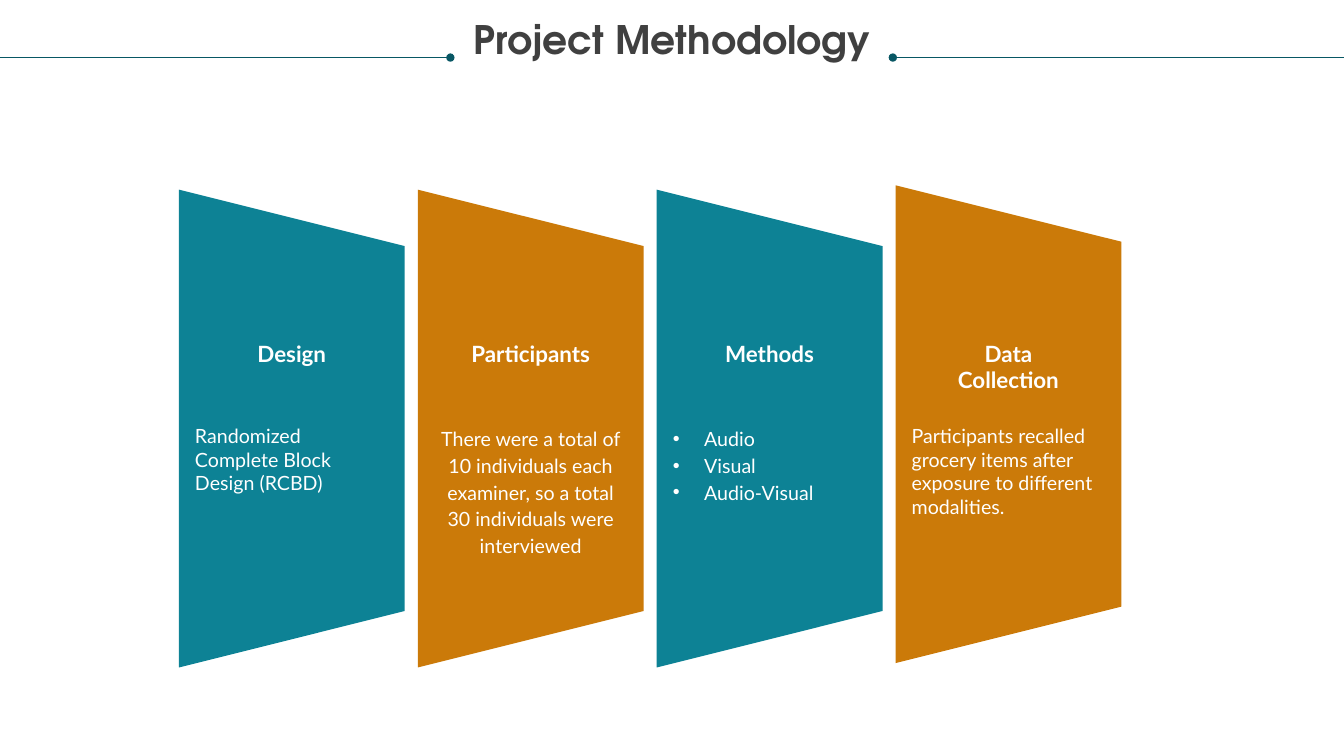
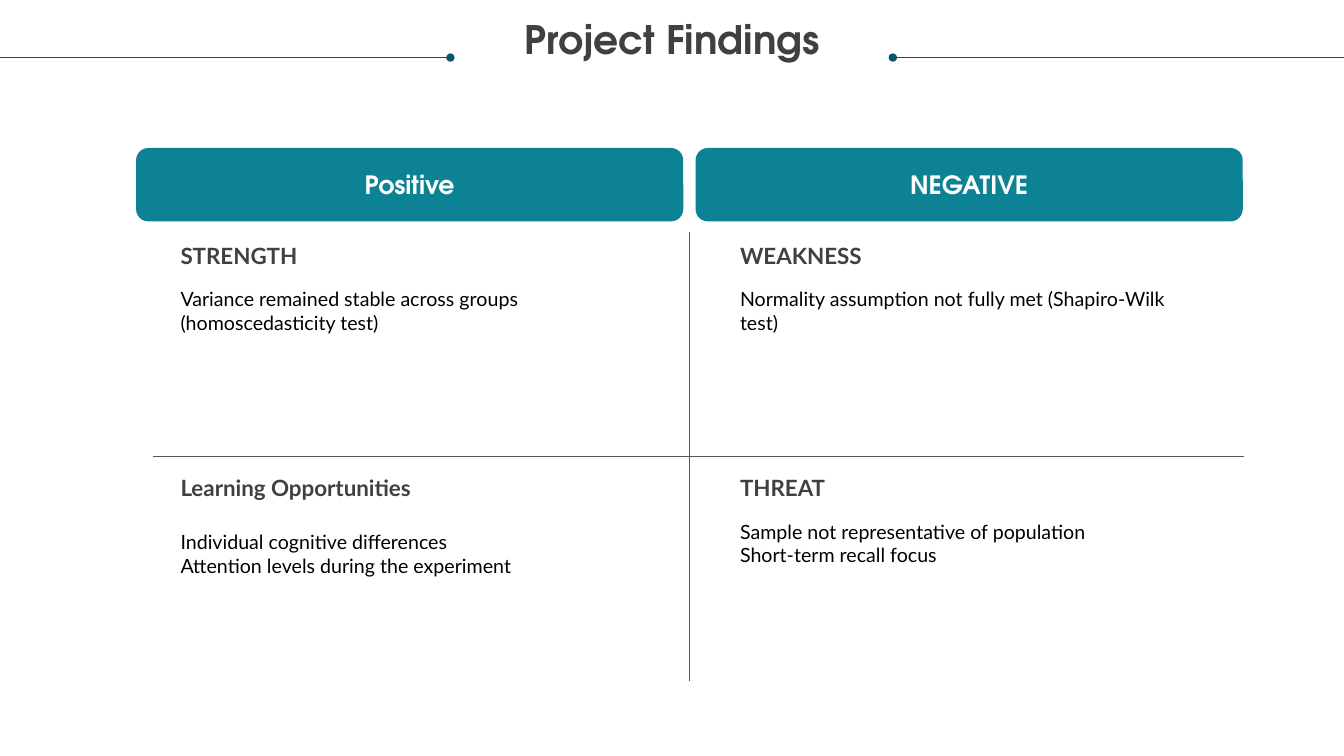
"""Build the project methodology and project findings slides."""
from pptx import Presentation
from pptx.dml.color import RGBColor
from pptx.enum.shapes import MSO_CONNECTOR as Connector, MSO_SHAPE as Shape
from pptx.enum.text import MSO_ANCHOR as Anchor, PP_ALIGN as Align
from pptx.oxml.ns import qn
from pptx.util import Cm, Pt
from lxml.etree import SubElement

TEAL = RGBColor(0x0D, 0x82, 0x95)
ORANGE = RGBColor(0xCB, 0x7A, 0x09)
DEEP_TEAL = RGBColor(0x08, 0x57, 0x64)
DARK = RGBColor(0x40, 0x40, 0x40)
RULE_GREY = RGBColor(0x58, 0x58, 0x58)
BLACK = RGBColor(0x00, 0x00, 0x00)
WHITE = RGBColor(0xFF, 0xFF, 0xFF)

TITLE_FONT, BODY_FONT = "TeX Gyre Adventor", "Lato"
SLIDE_W, SLIDE_H = 33.87, 19.05

METHODOLOGY = [
    dict(heading="Design", lines=["Randomized Complete Block Design (RCBD)"]),
    dict(heading="Participants", align=Align.CENTER, spacing=Pt(19),
         lines=["There were a total of 10 individuals each examiner, "
                "so a total 30 individuals were interviewed"]),
    dict(heading="Methods", bullets=True, spacing=Pt(19),
         lines=["Audio", "Visual", "Audio-Visual"]),
    dict(heading="Data Collection", top=4.67,
         lines=["Participants recalled grocery items after exposure "
                "to different modalities."]),
]
PANEL_LEFT, PANEL_TOP, PANEL_PITCH = 4.51, 4.78, 6.02
PANEL_W, PANEL_H = 5.69, 12.04
HEADING_W, HEADING_TOP = 3.81, 8.56
DETAIL_W, DETAIL_TOP = 4.88, 10.69

FINDINGS = [
    ("Positive", [
        ("STRENGTH", 1.14, ["Variance remained stable across groups (homoscedasticity test)"]),
        ("Learning Opportunities", 1.4, ["Individual cognitive differences",
                                         "Attention levels during the experiment"]),
    ]),
    ("NEGATIVE", [
        ("WEAKNESS", 1.14, ["Normality assumption not fully met (Shapiro-Wilk test)"]),
        ("THREAT", 1.14, ["Sample not representative of population",
                          "Short-term recall focus"]),
    ]),
]
COLUMN_LEFT, COLUMN_PITCH = 3.43, 14.1
BANNER_TOP, BANNER_W, BANNER_H = 3.73, 13.79, 1.85
CELL_TOP, CELL_PITCH, CELL_INDENT, CELL_W = 6.1, 5.86, 1.12, 11.56
DIVIDERS = [(3.86, 11.51, 31.34, 11.51), (17.37, 5.84, 17.37, 17.17)]


def style(paragraph, size, color, font=BODY_FONT, bold=False, align=Align.LEFT, spacing=None):
    paragraph.font.size = Pt(size)
    paragraph.font.name = font
    paragraph.font.bold = bold
    paragraph.font.color.rgb = color
    paragraph.alignment = align
    paragraph.line_spacing = spacing


def add_bullet(paragraph):
    properties = paragraph._p.get_or_add_pPr()
    properties.set("marL", str(Cm(0.79)))
    properties.set("indent", str(-Cm(0.79)))
    SubElement(properties, qn("a:buFont"), typeface="Arial")
    SubElement(properties, qn("a:buChar"), char="•")


def add_text(slide, left, top, width, height, lines, size, color, bullets=False, **looks):
    frame = slide.shapes.add_textbox(Cm(left), Cm(top), Cm(width), Cm(height)).text_frame
    frame.word_wrap = True
    frame.margin_left = frame.margin_top = frame.margin_right = frame.margin_bottom = 0
    frame.text = "\n".join(lines)
    for paragraph in frame.paragraphs:
        style(paragraph, size, color, **looks)
        if bullets:
            add_bullet(paragraph)


def add_filled(slide, kind, left, top, width, height, color):
    shape = slide.shapes.add_shape(kind, Cm(left), Cm(top), Cm(width), Cm(height))
    shape.shadow.inherit = False
    shape.fill.solid()
    shape.fill.fore_color.rgb = color
    shape.line.fill.background()
    return shape


def add_line(slide, ends, color, dotted_end=False):
    line = slide.shapes.add_connector(Connector.STRAIGHT, *(Cm(value) for value in ends))
    line.line.color.rgb = color
    line.line.width = Pt(0.5)
    if dotted_end:
        SubElement(line.line._get_or_add_ln(), qn("a:tailEnd"), type="oval")
    SubElement(line._element.spPr, qn("a:effectLst"))


def add_titled_slide(deck, title):
    slide = deck.slides.add_slide(deck.slide_layouts[6])
    for outer, inner in [(0, 11.35), (SLIDE_W, 22.5)]:
        add_line(slide, (outer, 1.45, inner, 1.45), DEEP_TEAL, dotted_end=True)
    add_text(slide, 0.64, 0.53, SLIDE_W - 2 * 0.64, 1.4, [title], 28, DARK,
             font=TITLE_FONT, bold=True, align=Align.CENTER, spacing=0.9)
    return slide


def add_methodology(deck):
    slide = add_titled_slide(deck, "Project Methodology")
    for index, panel in enumerate(METHODOLOGY):
        center = PANEL_LEFT + index * PANEL_PITCH + PANEL_W / 2
        middle = panel.get("top", PANEL_TOP) + PANEL_H / 2
        trapezoid = add_filled(slide, Shape.TRAPEZOID, center - PANEL_H / 2,
                               middle - PANEL_W / 2, PANEL_H, PANEL_W,
                               (TEAL, ORANGE)[index % 2])
        trapezoid.rotation = 90
        add_text(slide, center - HEADING_W / 2, HEADING_TOP, HEADING_W, 0.69,
                 [panel["heading"]], 16, WHITE, bold=True, align=Align.CENTER)
        add_text(slide, center - DETAIL_W / 2, DETAIL_TOP, DETAIL_W, 2.4,
                 panel["lines"], 14, WHITE, bullets=panel.get("bullets", False),
                 align=panel.get("align", Align.LEFT), spacing=panel.get("spacing"))


def add_findings(deck):
    slide = add_titled_slide(deck, "Project Findings")
    for ends in DIVIDERS:
        add_line(slide, ends, RULE_GREY)
    for column, (label, cells) in enumerate(FINDINGS):
        left = COLUMN_LEFT + column * COLUMN_PITCH
        banner = add_filled(slide, Shape.ROUNDED_RECTANGLE, left, BANNER_TOP,
                            BANNER_W, BANNER_H, TEAL)
        banner.text_frame.text = label
        banner.text_frame.vertical_anchor = Anchor.MIDDLE
        style(banner.text_frame.paragraphs[0], 18, WHITE, TITLE_FONT, True, Align.CENTER)
        for row, (heading, offset, lines) in enumerate(cells):
            top = CELL_TOP + row * CELL_PITCH
            add_text(slide, left + CELL_INDENT, top, CELL_W, 0.69, [heading], 16, DARK, bold=True)
            add_text(slide, left + CELL_INDENT, top + offset, CELL_W, 1.2, lines, 14, BLACK)


def main():
    deck = Presentation()
    deck.slide_width, deck.slide_height = Cm(SLIDE_W), Cm(SLIDE_H)
    add_methodology(deck)
    add_findings(deck)
    deck.save("out.pptx")


if __name__ == "__main__":
    main()
